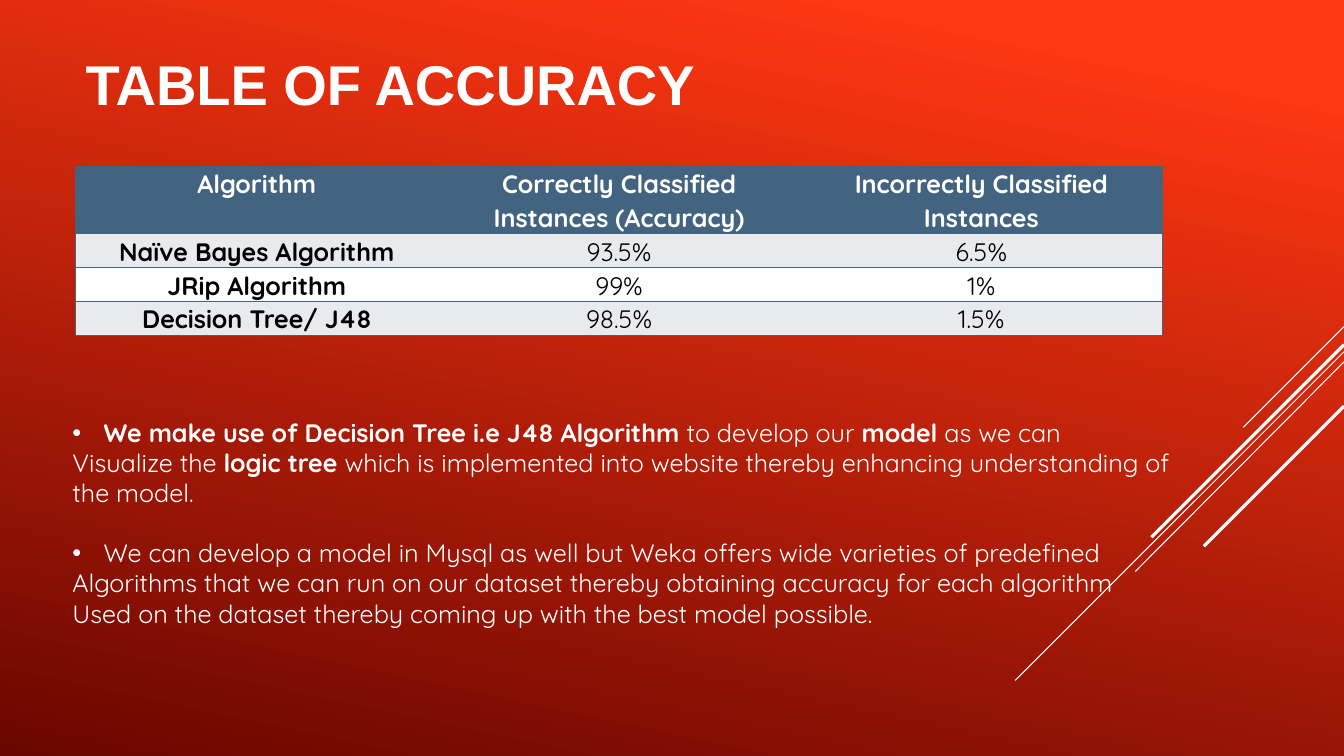
"""Build the slide that compares the accuracy of three algorithms."""
from dataclasses import dataclass

from lxml import etree
from pptx import Presentation
from pptx import util as u
from pptx.dml import color as co
from pptx.enum import shapes as sh, text as tx
from pptx.oxml import ns


@dataclass(frozen=True)
class Theme:
    white: str = "FFFFFF"
    black: str = "000000"
    steel: str = "426480"
    band: str = "E9EAED"
    glow: str = "FF3712"
    dusk: str = "6A0600"
    head: str = "Arial"
    body: str = "Quicksand"
    large: float = 40
    small: float = 18


@dataclass(frozen=True)
class Ray:
    top: float
    left: float
    end: float
    width: float


@dataclass(frozen=True)
class Para:
    texts: tuple
    bullet: bool = False
    gap: float = 0


T = Theme()
WIDE, HIGH = 13.33, 7.5
RAYS = (
    Ray(3.24, 12.33, 4.24, 0.75),
    Ray(3.49, 10.07, 6.75, 0.75),
    Ray(3.59, 11.26, 5.67, 0.75),
    Ray(3.42, 11.42, 5.33, 2.25),
    Ray(4.03, 11.94, 5.42, 2.25),
)
ROWS = (
    ("Algorithm", "Correctly Classified Instances (Accuracy)", "Incorrectly Classified Instances"),
    ("Naïve Bayes Algorithm", "93.5%", "6.5%"),
    ("JRip Algorithm", "99%", "1%"),
    ("Decision Tree/ J48", "98.5%", "1.5%"),
)
NOTES = (
    Para((("We make use of Decision Tree i.e J48 Algorithm ", True), ("to develop our ", False),
          ("model", True), (" as we can", False)), bullet=True),
    Para((("Visualize the ", False), ("logic tree ", True),
          ("which is implemented into website thereby enhancing understanding of the model.", False))),
    Para((("We can develop a model in Mysql as well but Weka offers wide varieties of predefined", False),),
         bullet=True, gap=21),
    Para((("Algorithms that we can run on our dataset thereby obtaining accuracy for each algorithm", False),)),
    Para((("Used on the dataset thereby coming up with the best model possible.", False),)),
)


def rgb(code: str) -> co.RGBColor:
    return co.RGBColor.from_string(code)


def style(font, face: str, size: float, hue: str, bold: bool) -> None:
    font.name, font.size, font.bold = face, u.Pt(size), bold
    font.color.rgb = rgb(hue)


def paint(slide) -> None:
    fill = slide.background.fill
    fill.gradient()
    fill.gradient_angle = 258
    for stop, (place, hue) in zip(fill.gradient_stops, ((0.1, T.glow), (1, T.dusk))):
        stop.position = place
        stop.color.rgb = rgb(hue)


def add_ray(slide, ray: Ray) -> None:
    line = slide.shapes.add_connector(
        sh.MSO_CONNECTOR.STRAIGHT, u.Inches(WIDE), u.Inches(ray.top), u.Inches(ray.left), u.Inches(ray.end))
    line.line.color.rgb = rgb(T.white)
    line.line.width = u.Pt(ray.width)
    etree.SubElement(line._element.spPr, ns.qn("a:effectLst"))


def add_title(slide, words: str) -> None:
    title = slide.shapes.title
    title.left, title.top, title.width, title.height = map(u.Inches, (0.75, 0, 9.33, 1.65))
    frame = title.text_frame
    frame.text = words
    frame.auto_size = tx.MSO_AUTO_SIZE.NONE
    frame.vertical_anchor = tx.MSO_ANCHOR.MIDDLE
    para = frame.paragraphs[0]
    para.alignment = tx.PP_ALIGN.LEFT
    style(para.runs[0].font, T.head, T.large, T.white, True)


def edge(cell, side: str, drawn: bool) -> None:
    props = cell._tc.get_or_add_tcPr()
    line = etree.SubElement(props, ns.qn(f"a:ln{side}"), w=str(u.Pt(1)))
    if drawn:
        fill = etree.SubElement(line, ns.qn("a:solidFill"))
        etree.SubElement(fill, ns.qn("a:srgbClr"), val=T.steel)
    else:
        etree.SubElement(line, ns.qn("a:noFill"))


def fill_cell(cell, words: str, row: int, col: int) -> None:
    cell.margin_left = cell.margin_right = u.Inches(0.12)
    cell.margin_top = cell.margin_bottom = 0
    cell.text = words
    para = cell.text_frame.paragraphs[0]
    para.alignment = tx.PP_ALIGN.CENTER
    para.line_spacing = 1.07
    style(para.runs[0].font, T.body, T.small, T.black if row else T.white, row == 0 or col == 0)
    for side, drawn in (("L", col == 0), ("R", col == 2), ("T", True), ("B", True)):
        edge(cell, side, drawn)
    cell.fill.solid()
    cell.fill.fore_color.rgb = rgb((T.band if row % 2 else T.white) if row else T.steel)


def add_grid(slide) -> None:
    frame = slide.shapes.add_table(len(ROWS), len(ROWS[0]), *map(u.Inches, (0.75, 1.65, 10.78, 1.63)))
    grid = frame.table
    grid.first_row = grid.horz_banding = False
    for row, words in enumerate(ROWS):
        grid.rows[row].height = u.Inches(0.33 if row else 0.65)
        for col, word in enumerate(words):
            fill_cell(grid.cell(row, col), word, row, col)


def add_notes(slide) -> None:
    box = slide.shapes.add_textbox(*map(u.Inches, (0.62, 4.09, 11.48, 2.22)))
    frame = box.text_frame
    frame.word_wrap = True
    frame.auto_size = tx.MSO_AUTO_SIZE.SHAPE_TO_FIT_TEXT
    for spot, note in enumerate(NOTES):
        para = frame.add_paragraph() if spot else frame.paragraphs[0]
        if note.gap:
            para.space_before = u.Pt(note.gap)
        if note.bullet:
            props = para._p.get_or_add_pPr()
            props.set("marL", str(u.Inches(0.31)))
            props.set("indent", str(-u.Inches(0.31)))
            etree.SubElement(props, ns.qn("a:buFont"), typeface=T.head)
            etree.SubElement(props, ns.qn("a:buChar"), char="•")
        for words, bold in note.texts:
            run = para.add_run()
            run.text = words
            style(run.font, T.body, T.small, T.white, bold)


def main() -> None:
    deck = Presentation()
    deck.slide_width, deck.slide_height = u.Inches(WIDE), u.Inches(HIGH)
    slide = deck.slides.add_slide(deck.slide_layouts[5])
    paint(slide)
    for ray in RAYS:
        add_ray(slide, ray)
    add_title(slide, "TABLE OF ACCURACY")
    add_grid(slide)
    add_notes(slide)
    deck.save("out.pptx")


if __name__ == "__main__":
    main()
